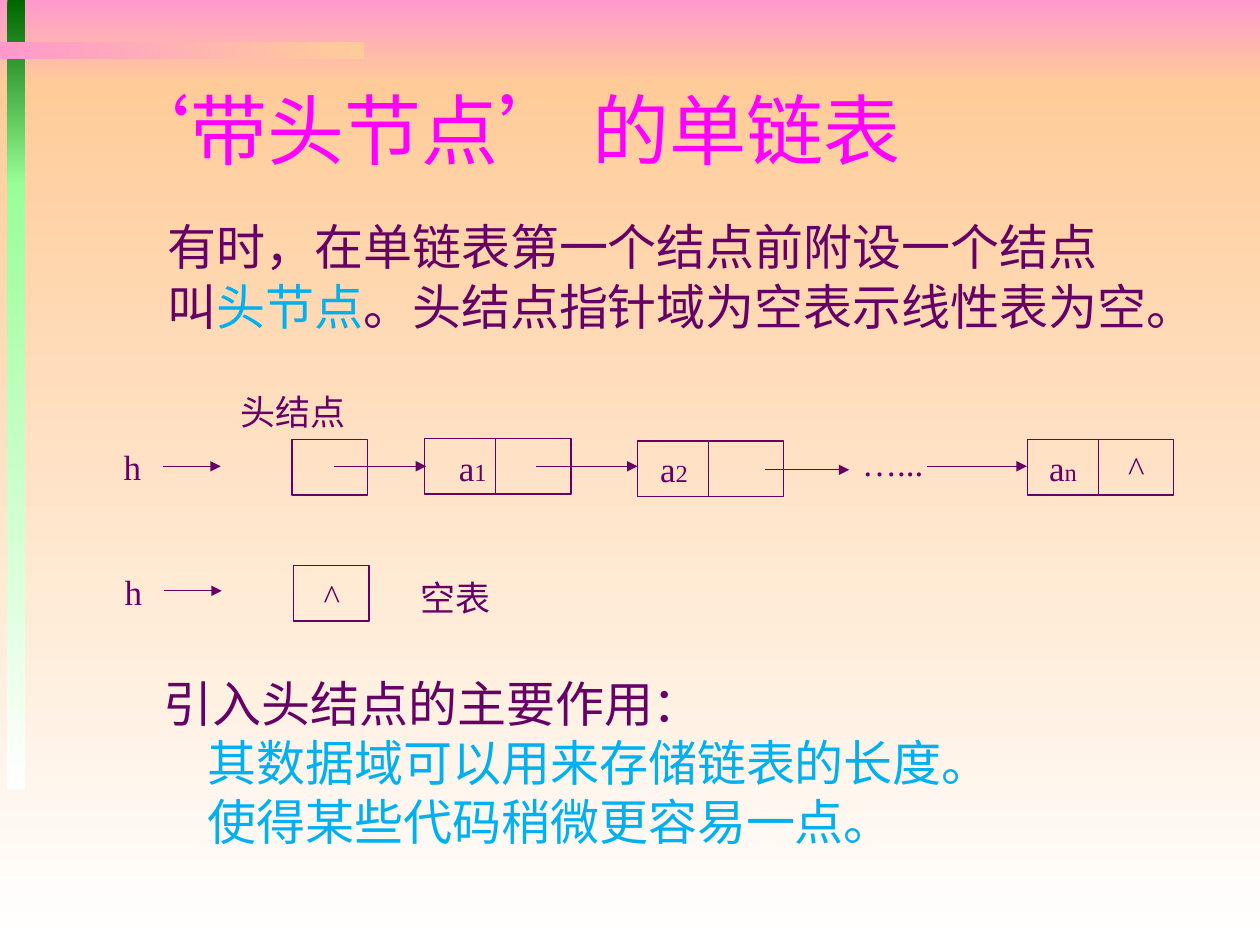
"""Build a slide explaining singly linked lists with a head node."""
from dataclasses import dataclass
from typing import Optional

from lxml import etree
from pptx import Presentation, util as u
from pptx.dml.color import RGBColor
from pptx.enum import shapes, text
from pptx.oxml.ns import qn


@dataclass(frozen=True)
class Theme:
    ink: str = "660066"
    accent: str = "00B0F0"
    heading: str = "FF00FF"
    pink: str = "FF99CC"
    peach: str = "FFCC99"
    white: str = "FFFFFF"
    dark_green: str = "006600"
    light_green: str = "99FF99"
    title_size: float = 44
    body_size: float = 28
    label_size: float = 20
    subscript_size: float = 14
    body_leading: float = 33.8
    line_width: float = 0.75
    title_font: str = "Roboto Condensed"
    body_font: str = "Noto Sans CJK SC"
    label_font: str = "Times New Roman"


THEME = Theme()


@dataclass(frozen=True)
class Band:
    left: float
    top: float
    width: float
    height: float
    start: str
    end: str
    angle: float = 270


@dataclass(frozen=True)
class Words:
    content: str
    size: float = THEME.label_size
    color: str = THEME.ink
    font: str = THEME.label_font


@dataclass(frozen=True)
class Line:
    words: list[Words]
    indent: float = 0


@dataclass(frozen=True)
class Label:
    center_x: float
    center_y: float
    words: list[Words]


@dataclass(frozen=True)
class Node:
    left: float
    top: float
    width: float = 2.95
    divider: Optional[float] = 1.43


@dataclass(frozen=True)
class Pointer:
    start: float
    end: float
    y: float


NODE_HEIGHT = 1.12

BANDS = [
    Band(0, 0, 25.4, 1.7, THEME.pink, THEME.peach),
    Band(0, 1.7, 25.4, 17.35, THEME.peach, THEME.white),
    Band(0.15, 0, 0.36, 3.76, THEME.dark_green, THEME.light_green),
    Band(0.15, 3.71, 0.36, 12.22, THEME.light_green, THEME.white),
    Band(0, 0.84, 7.34, 0.36, THEME.pink, THEME.peach, 0),
]
NODES = [
    Node(5.89, 8.86, 1.52, None),
    Node(8.56, 8.84),
    Node(12.85, 8.89),
    Node(20.71, 8.86),
    Node(5.92, 11.4, 1.52, None),
]
POINTERS = [
    Pointer(3.28, 4.45, 9.4),
    Pointer(6.73, 8.59, 9.4),
    Pointer(10.8, 12.85, 9.4),
    Pointer(15.42, 17.12, 9.47),
    Pointer(18.69, 20.7, 9.4),
    Pointer(3.3, 4.47, 11.91),
]


def element(subscript: str) -> list[Words]:
    return [Words("a"), Words(subscript, THEME.subscript_size)]


def body(content: str, color: str = THEME.ink) -> Words:
    return Words(content, THEME.body_size, color, THEME.body_font)


LABELS = [
    Label(2.67, 9.41, [Words("h")]),
    Label(5.91, 8.29, [Words("头结点")]),
    Label(9.53, 9.42, element("1")),
    Label(13.59, 9.45, element("2")),
    Label(18, 9.33, [Words("…...")]),
    Label(21.43, 9.42, element("n")),
    Label(22.91, 9.42, [Words("^")]),
    Label(2.69, 11.92, [Words("h")]),
    Label(6.69, 12, [Words("^")]),
    Label(9.19, 12.05, [Words("空表")]),
]
TITLE = [Line([Words("‘带头节点’ 的单链表", THEME.title_size, THEME.heading, THEME.title_font)])]
DEFINITION = [
    Line([body("有时，在单链表第一个结点前附设一个结点")]),
    Line([body("叫"), body("头节点", THEME.accent), body("。头结点指针域为空表示线性表为空。")]),
]
PURPOSE = [
    Line([body("引入头结点的主要作用：")]),
    Line([body("其数据域可以用来存储链表的长度。", THEME.accent)], 0.89),
    Line([body("使得某些代码稍微更容易一点。", THEME.accent)], 0.89),
]


def draw_band(slide, band: Band) -> None:
    stripe = slide.shapes.add_shape(
        shapes.MSO_SHAPE.RECTANGLE, u.Cm(band.left), u.Cm(band.top), u.Cm(band.width), u.Cm(band.height))
    stripe.shadow.inherit = False
    stripe.line.fill.background()
    stripe.fill.gradient()
    stripe.fill.gradient_angle = band.angle
    for stop, color in zip(stripe.fill.gradient_stops, (band.start, band.end)):
        stop.color.rgb = RGBColor.from_string(color)


def draw_text(slide, left: float, top: float, width: float, height: float, lines: list[Line],
              leading: Optional[float] = None, align=text.PP_ALIGN.LEFT) -> None:
    frame = slide.shapes.add_textbox(u.Cm(left), u.Cm(top), u.Cm(width), u.Cm(height)).text_frame
    frame.word_wrap = True
    frame.vertical_anchor = text.MSO_ANCHOR.MIDDLE
    frame.margin_left = frame.margin_right = frame.margin_top = frame.margin_bottom = 0
    for index, line in enumerate(lines):
        paragraph = frame.paragraphs[0] if index == 0 else frame.add_paragraph()
        paragraph.alignment = align
        if leading:
            paragraph.line_spacing = u.Pt(leading)
        if line.indent:
            paragraph._p.get_or_add_pPr().set("marL", str(u.Cm(line.indent)))
        for words in line.words:
            run = paragraph.add_run()
            run.text = words.content
            run.font.size = u.Pt(words.size)
            run.font.color.rgb = RGBColor.from_string(words.color)
            run.font.name = words.font
            etree.SubElement(run._r.get_or_add_rPr(), qn("a:ea"), typeface=THEME.body_font)


def draw_label(slide, label: Label) -> None:
    width, height = 3, 1.1
    draw_text(slide, label.center_x - width / 2, label.center_y - height / 2, width, height,
              [Line(label.words)], align=text.PP_ALIGN.CENTER)


def draw_line(slide, x1: float, y1: float, x2: float, y2: float, arrow: bool = False) -> None:
    stroke = slide.shapes.add_connector(
        shapes.MSO_CONNECTOR.STRAIGHT, u.Cm(x1), u.Cm(y1), u.Cm(x2), u.Cm(y2))
    stroke.line.color.rgb = RGBColor.from_string(THEME.ink)
    stroke.line.width = u.Pt(THEME.line_width)
    if arrow:
        etree.SubElement(stroke.line._get_or_add_ln(), qn("a:tailEnd"), type="triangle")
    etree.SubElement(stroke._element.spPr, qn("a:effectLst"))


def draw_node(slide, node: Node) -> None:
    cell = slide.shapes.add_shape(
        shapes.MSO_SHAPE.RECTANGLE, u.Cm(node.left), u.Cm(node.top), u.Cm(node.width), u.Cm(NODE_HEIGHT))
    cell.shadow.inherit = False
    cell.fill.background()
    cell.line.color.rgb = RGBColor.from_string(THEME.ink)
    cell.line.width = u.Pt(THEME.line_width)
    if node.divider:
        x = node.left + node.divider
        draw_line(slide, x, node.top, x, node.top + NODE_HEIGHT)


def main() -> None:
    deck = Presentation()
    deck.slide_width, deck.slide_height = u.Cm(25.4), u.Cm(19.05)
    slide = deck.slides.add_slide(deck.slide_layouts[6])
    for band in BANDS:
        draw_band(slide, band)
    draw_text(slide, 2.29, 1.45, 21.08, 2.29, TITLE)
    draw_text(slide, 3.38, 4.24, 21.2, 2.64, DEFINITION, THEME.body_leading)
    for node in NODES:
        draw_node(slide, node)
    for pointer in POINTERS:
        draw_line(slide, pointer.start, pointer.y, pointer.end, pointer.y, arrow=True)
    for label in LABELS:
        draw_label(slide, label)
    draw_text(slide, 3.3, 13.44, 20.4, 3.84, PURPOSE, THEME.body_leading)
    deck.save("out.pptx")


if __name__ == "__main__":
    main()
